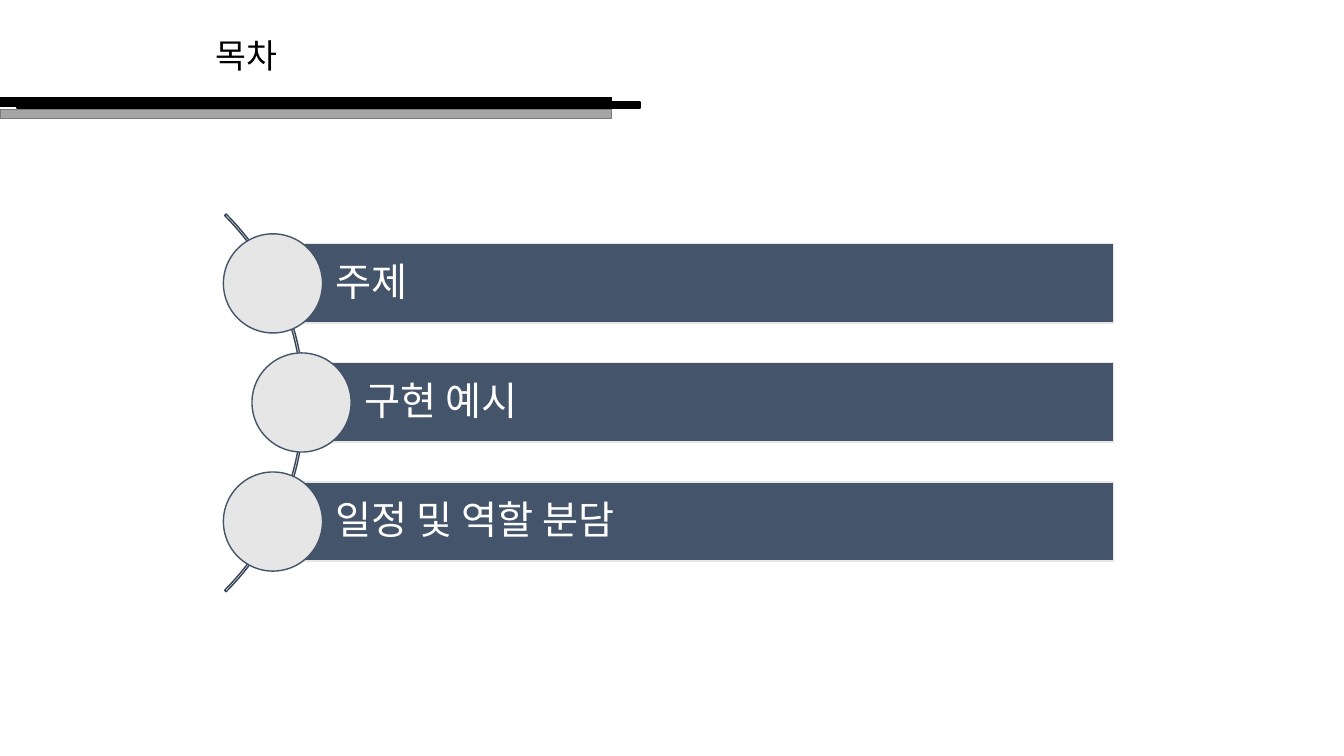
from lxml import etree
from pptx import Presentation
from pptx.dml.color import RGBColor
from pptx.enum.shapes import MSO_SHAPE
from pptx.enum.text import MSO_ANCHOR, MSO_AUTO_SIZE, PP_ALIGN
from pptx.oxml.ns import qn
from pptx.util import Pt

RECT = MSO_SHAPE.RECTANGLE
OVAL = MSO_SHAPE.OVAL
BLOCK_ARC = MSO_SHAPE.BLOCK_ARC
TOP = MSO_ANCHOR.TOP
MIDDLE = MSO_ANCHOR.MIDDLE
LEFT = PP_ALIGN.LEFT
GROW = MSO_AUTO_SIZE.SHAPE_TO_FIT_TEXT

BLACK = RGBColor(0x00, 0x00, 0x00)
WHITE = RGBColor(0xFF, 0xFF, 0xFF)
GRAY = RGBColor(0xA5, 0xA5, 0xA5)
DARK_GRAY = RGBColor(0x7A, 0x7A, 0x7A)
NAVY = RGBColor(0x44, 0x54, 0x6A)
DARK_NAVY = RGBColor(0x36, 0x43, 0x55)
LIGHT = RGBColor(0xE7, 0xE6, 0xE6)

FONT = "Noto Sans CJK KR"
TOPICS = ["주제", "구현 예시", "일정 및 역할 분담"]
INDENTS = [195, 215.4, 195]
BAR_RIGHT, BAR_TOP, BAR_HEIGHT, PITCH = 795.6, 174.1, 56.7, 85.05
DIAMETER = 70.8


def write(tf, text, size=28, color=WHITE, anchor=MIDDLE, spacing=1.0, after=0):
    tf.word_wrap = True
    tf.vertical_anchor = anchor
    p = tf.paragraphs[0]
    p.alignment = LEFT
    p.line_spacing = spacing
    p.space_after = Pt(after)
    r = p.add_run()
    r.text = text
    r.font.size = Pt(size)
    r.font.name = FONT
    r.font.color.rgb = color
    etree.SubElement(r._r.get_or_add_rPr(), qn("a:ea")).set("typeface", FONT)


class Deck:
    def __init__(self):
        self.prs = Presentation()
        self.prs.slide_width, self.prs.slide_height = Pt(960), Pt(540)
        self.s = self.prs.slides.add_slide(self.prs.slide_layouts[5])

    def title(self, text, x, y, w, h):
        sp = self.s.shapes.title
        sp.left, sp.top, sp.width, sp.height = Pt(x), Pt(y), Pt(w), Pt(h)
        write(sp.text_frame, text, size=24, color=BLACK, anchor=TOP)
        sp.text_frame.auto_size = GROW

    def shape(self, kind, x, y, w, h, fill, line):
        sp = self.s.shapes.add_shape(kind, Pt(x), Pt(y), Pt(w), Pt(h))
        sp.shadow.inherit = False
        if fill is None:
            sp.fill.background()
        else:
            sp.fill.solid()
            sp.fill.fore_color.rgb = fill
        sp.line.color.rgb = line
        sp.line.width = Pt(1)
        return sp

    def arc(self, x, y, size, adjustments):
        sp = self.shape(BLOCK_ARC, x, y, size, size, None, DARK_NAVY)
        for i, value in enumerate(adjustments):
            sp.adjustments[i] = value

    def topic(self, text, x, y):
        sp = self.shape(RECT, x, y, BAR_RIGHT - x, BAR_HEIGHT, NAVY, LIGHT)
        tf = sp.text_frame
        tf.margin_left = Pt(45)
        tf.margin_top = tf.margin_right = tf.margin_bottom = Pt(5.6)
        write(tf, text, spacing=0.9, after=9.8)
        radius = DIAMETER / 2
        self.shape(OVAL, x - radius, y + BAR_HEIGHT / 2 - radius,
                   DIAMETER, DIAMETER, LIGHT, NAVY)


def main():
    deck = Deck()
    deck.title("목차", 147, 21.6, 185.8, 36)
    deck.shape(RECT, 0, 69.8, 437, 6.5, BLACK, BLACK)
    deck.shape(RECT, 12.2, 73, 445, 4.3, BLACK, BLACK)
    deck.shape(RECT, 0, 78, 437, 6.5, GRAY, DARK_GRAY)
    deck.arc(-164.2, 97, 381.6, [189, 27, 0.004])
    for i, (text, x) in enumerate(zip(TOPICS, INDENTS)):
        deck.topic(text, x, BAR_TOP + i * PITCH)
    deck.prs.save("out.pptx")


if __name__ == "__main__":
    main()
